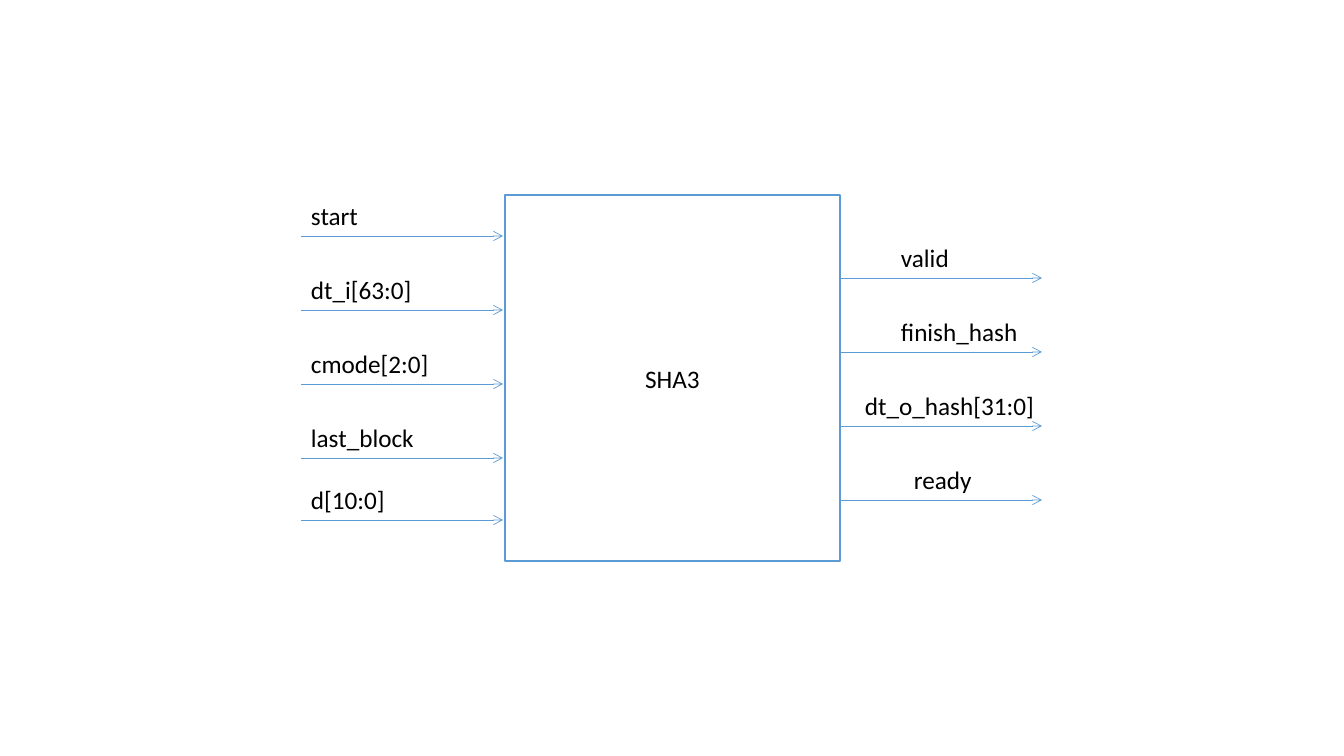
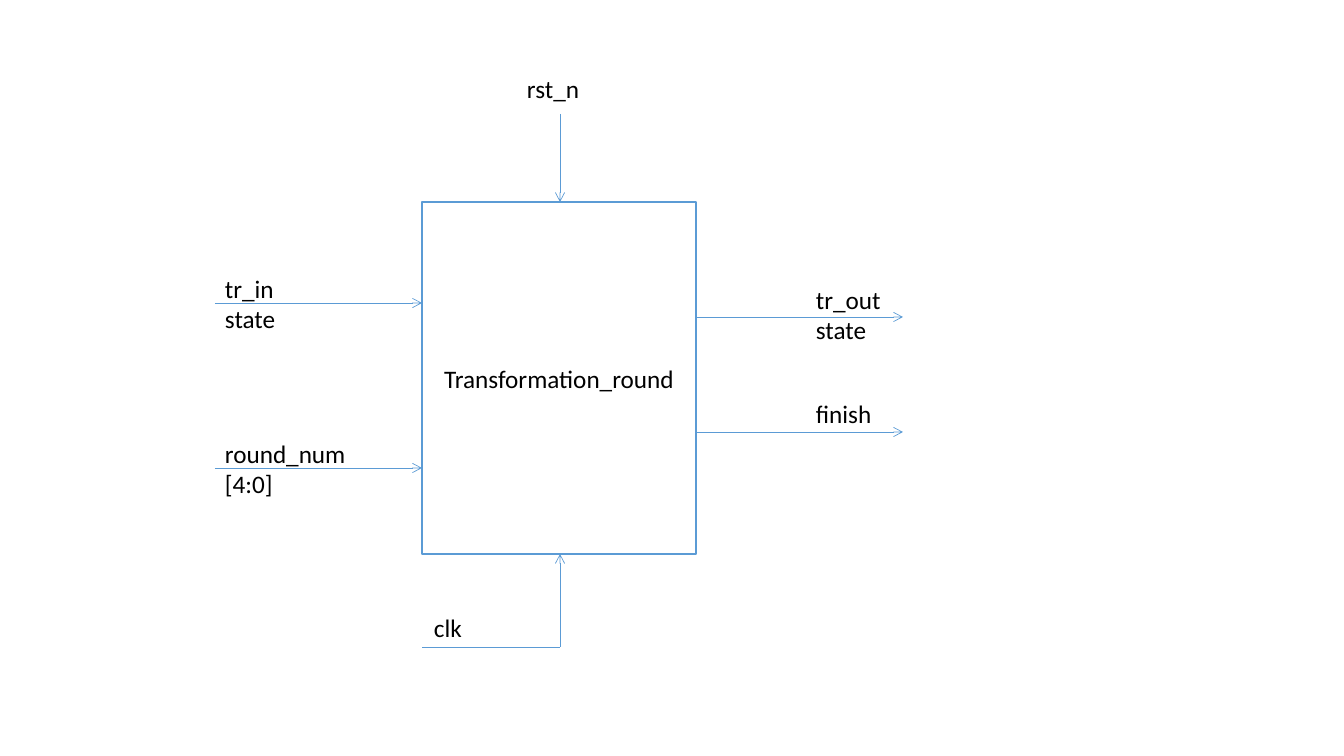
from dataclasses import dataclass

from lxml.etree import SubElement
from pptx import Presentation
from pptx.dml.color import RGBColor
from pptx.enum.shapes import MSO_CONNECTOR, MSO_SHAPE
from pptx.enum.text import MSO_ANCHOR, MSO_AUTO_SIZE, PP_ALIGN
from pptx.oxml.ns import qn
from pptx.util import Emu, Pt

# Content: lengths are pixels, 100.8 to the inch.
# A port is (label lines, wire y, label left, label width, label rise above wire).
PITCH = 74
FIRST_INPUT, FIRST_OUTPUT = 236, 278
HASH_BLOCK = {
    "name": "SHA3",
    "box": (505, 195, 335, 366),
    "wire_length": 202,
    "input_gap": 2,
    "inputs": [
        *((("%s" % name,), FIRST_INPUT + row * PITCH, 301, 176, 41)
          for row, name in enumerate(
              ["start", "dt_i[63:0]", "cmode[2:0]", "last_block"])),
        (("d[10:0]",), 520, 301, 176, 41),
    ],
    "outputs": [
        ((name,), FIRST_OUTPUT + row * PITCH, left, width, 41)
        for row, (name, left, width) in enumerate([
            ("valid", 891, 176), ("finish_hash", 891, 176),
            ("dt_o_hash[31:0]", 855, 196), ("ready", 904, 176)])
    ],
}
ROUND_BLOCK = {
    "name": "Transformation_round",
    "box": (422, 202, 274, 352),
    "wire_length": 207,
    "input_gap": 0,
    "inputs": [
        (("tr_in", "state"), 303, 215, 178, 35),
        (("round_num", "[4:0]"), 468, 215, 178, 35),
    ],
    "outputs": [
        (("tr_out", "state"), 317, 806, 178, 38),
        (("finish",), 432, 806, 178, 39),
    ],
}
RESET = {"lines": ("rst_n",), "label": (517, 68, 178), "wire_top": 114}
CLOCK = {"lines": ("clk",), "label": (424, 607, 121), "wire_bottom": 647}


@dataclass(frozen=True)
class Theme:
    """Colours, type and line widths that the slides share."""
    paper: RGBColor = RGBColor(0xFF, 0xFF, 0xFF)
    ink: RGBColor = RGBColor(0x00, 0x00, 0x00)
    accent: RGBColor = RGBColor(0x5B, 0x9B, 0xD5)
    font: str = "Calibri"
    text_size: Pt = Pt(18)
    box_line: Pt = Pt(1)
    wire_line: Pt = Pt(0.5)


THEME = Theme()
LINE_HEIGHT, LABEL_PADDING = 31, 9


def px(length):
    """Turn pixels into EMU."""
    return Emu(round(length * 914400 / 100.8))


def write_lines(frame, lines, align):
    """Fill a text frame with one paragraph for each line."""
    frame.word_wrap = True
    for index, line in enumerate(lines):
        para = frame.paragraphs[0] if index == 0 else frame.add_paragraph()
        para.text = line
        para.alignment = align
        para.font.name = THEME.font
        para.font.size = THEME.text_size
        para.font.color.rgb = THEME.ink


def add_label(page, lines, left, top, width):
    """Add a signal name."""
    height = len(lines) * LINE_HEIGHT + LABEL_PADDING
    label = page.shapes.add_textbox(px(left), px(top), px(width), px(height))
    write_lines(label.text_frame, lines, PP_ALIGN.LEFT)
    label.text_frame.auto_size = MSO_AUTO_SIZE.SHAPE_TO_FIT_TEXT


def add_wire(page, start, end, arrow=True):
    """Add a straight wire, with an arrowhead at its end if asked."""
    wire = page.shapes.add_connector(
        MSO_CONNECTOR.STRAIGHT, *map(px, start), *map(px, end))
    wire.line.color.rgb = THEME.accent
    wire.line.width = THEME.wire_line
    if arrow:
        SubElement(wire.line._get_or_add_ln(), qn("a:tailEnd"), type="arrow")
    SubElement(wire._element.spPr, qn("a:effectLst"))


def add_ports(page, ports, start, end):
    """Add wires that run between two x positions, with their labels."""
    for lines, wire_y, left, width, rise in ports:
        add_wire(page, (start, wire_y), (end, wire_y))
        add_label(page, lines, left, wire_y - rise, width)


def add_block_page(deck, block):
    """Add a page with a block and the ports at its left and right."""
    page = deck.slides.add_slide(deck.slide_layouts[6])
    left, _, width, _ = block["box"]
    box = page.shapes.add_shape(MSO_SHAPE.RECTANGLE, *map(px, block["box"]))
    box.shadow.inherit = False
    box.fill.solid()
    box.fill.fore_color.rgb = THEME.paper
    box.line.color.rgb = THEME.accent
    box.line.width = THEME.box_line
    write_lines(box.text_frame, [block["name"]], PP_ALIGN.CENTER)
    box.text_frame.vertical_anchor = MSO_ANCHOR.MIDDLE

    right = left + width
    input_end = left - block["input_gap"]
    length = block["wire_length"]
    add_ports(page, block["inputs"], input_end - length, input_end)
    add_ports(page, block["outputs"], right, right + length)
    return page


def add_reset_and_clock(page, block):
    """Add the reset wire above a block and the clock wire below it."""
    left, top, width, height = block["box"]
    middle = left + width / 2 + 1
    corner = (middle, CLOCK["wire_bottom"])
    add_wire(page, (middle, RESET["wire_top"]), (middle, top))
    add_wire(page, corner, (middle, top + height))
    add_wire(page, corner, (left, CLOCK["wire_bottom"]), arrow=False)
    for signal in (RESET, CLOCK):
        add_label(page, signal["lines"], *signal["label"])


def main():
    """Build and save the deck."""
    deck = Presentation()
    deck.slide_width, deck.slide_height = px(1344), px(756)
    add_block_page(deck, HASH_BLOCK)
    add_reset_and_clock(add_block_page(deck, ROUND_BLOCK), ROUND_BLOCK)
    deck.save("out.pptx")


main()
